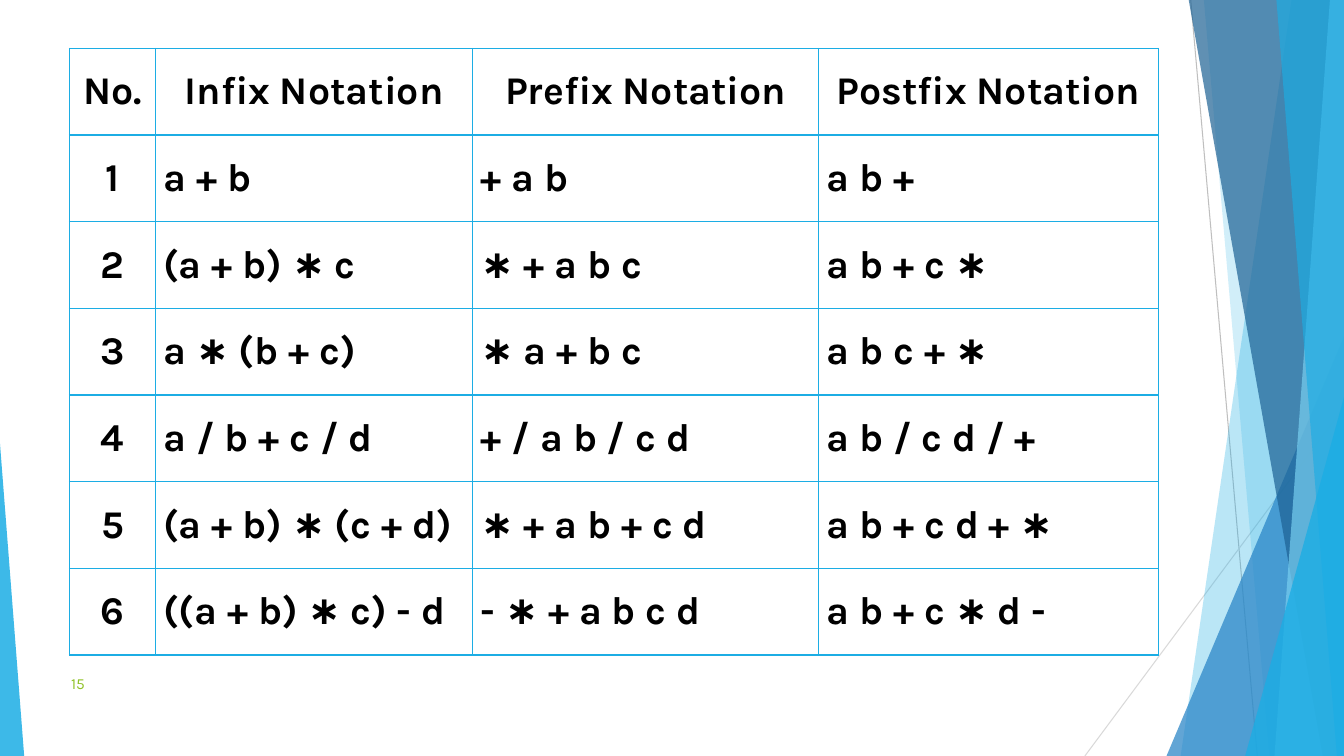
"""Build the slide that compares infix, prefix and postfix notation."""
from dataclasses import dataclass

from lxml import etree
from pptx import Presentation
from pptx import util as u
from pptx.dml import color
from pptx.enum import shapes, text
from pptx.oxml import ns

PX = 9144
WIDTH, HEIGHT = 1333, 750
FONT = "Karla"
BLUE = "1CADE4"
ROW_HEIGHT = 86
COLUMN_WIDTHS = (85, 315, 343, 337)
NOTATIONS = (
    ("No.", "Infix Notation", "Prefix Notation", "Postfix Notation"),
    ("1", "a + b", "+ a b", "a b +"),
    ("2", "(a + b) ∗ c", "∗ + a b c", "a b + c ∗"),
    ("3", "a ∗ (b + c)", "∗ a + b c", "a b c + ∗"),
    ("4", "a / b + c / d", "+ / a b / c d", "a b / c d / +"),
    ("5", "(a + b) ∗ (c + d)", "∗ + a b + c d", "a b + c d + ∗"),
    ("6", "((a + b) ∗ c) - d", "- ∗ + a b c d", "a b + c ∗ d -"),
)


@dataclass(frozen=True)
class Ray:
    start: tuple[int, int]
    end: tuple[int, int]
    colour: str


@dataclass(frozen=True)
class Band:
    """A strip reaching the right edge, with a slanted left side."""
    top: int
    bottom: int
    colour: str
    opacity: int


@dataclass(frozen=True)
class Wedge:
    """A triangle standing on the bottom edge, its apex at a share of its width."""
    left: int
    top: int
    width: int
    apex: float
    colour: str
    opacity: int


RAYS = (
    Ray((1181, 0), (1247, HEIGHT), "BFBFBF"),
    Ray((WIDTH, 404), (1076, HEIGHT), "D9D9D9"),
)
FACETS = (
    Band(1281, 1171, BLUE, 30),
    Band(1194, 1259, BLUE, 20),
    Wedge(1157, 334, 176, 1, "2683C6", 72),
    Band(1179, 1312, "1D6294", 70),
    Band(1319, 1264, "77CEEF", 70),
    Band(1266, 1326, BLUE, 65),
    Wedge(1235, 394, 98, 1, BLUE, 80),
    Wedge(0, 440, 24, 0, BLUE, 85),
)


def px(length: int) -> u.Emu:
    return u.Emu(length * PX)


def rgb(colour: str) -> color.RGBColor:
    return color.RGBColor.from_string(colour)


def draw_ray(slide, ray: Ray) -> None:
    line = slide.shapes.add_connector(
        shapes.MSO_CONNECTOR.STRAIGHT, *map(px, ray.start + ray.end))
    line.line.color.rgb = rgb(ray.colour)
    line.line.width = u.Pt(0.75)
    etree.SubElement(line._element.spPr, ns.qn("a:effectLst"))


def draw_facet(slide, facet: Band | Wedge) -> None:
    if isinstance(facet, Band):
        outline = slide.shapes.build_freeform(facet.top, 0, scale=PX)
        outline.add_line_segments(
            [(WIDTH, 0), (WIDTH, HEIGHT), (facet.bottom, HEIGHT)])
        shape = outline.convert_to_shape()
    else:
        shape = slide.shapes.add_shape(
            shapes.MSO_SHAPE.ISOSCELES_TRIANGLE, px(facet.left), px(facet.top),
            px(facet.width), px(HEIGHT - facet.top))
        shape.adjustments[0] = facet.apex
    shape.shadow.inherit = False
    shape.line.fill.background()
    shape.fill.solid()
    shape.fill.fore_color.rgb = rgb(facet.colour)
    tint = shape._element.spPr.find(".//" + ns.qn("a:srgbClr"))
    etree.SubElement(tint, ns.qn("a:alpha"), val=str(facet.opacity * 1000))


def style_paragraph(paragraph, size: int, colour: str, bold: bool,
                    align: text.PP_ALIGN) -> None:
    paragraph.alignment = align
    paragraph.font.name = FONT
    paragraph.font.size = u.Pt(size)
    paragraph.font.bold = bold
    paragraph.font.color.rgb = rgb(colour)


def border_cell(cell) -> None:
    properties = cell._tc.get_or_add_tcPr()
    for position, side in enumerate(("lnL", "lnR", "lnT", "lnB")):
        border = etree.Element(ns.qn(f"a:{side}"), w=str(u.Pt(1)))
        fill = etree.SubElement(border, ns.qn("a:solidFill"))
        etree.SubElement(fill, ns.qn("a:srgbClr"), val=BLUE)
        properties.insert(position, border)


def draw_notations(slide) -> None:
    table = slide.shapes.add_table(
        len(NOTATIONS), len(COLUMN_WIDTHS), px(69), px(48),
        px(sum(COLUMN_WIDTHS)), px(ROW_HEIGHT * len(NOTATIONS))).table
    table.first_row = table.horz_banding = False
    for column, width in zip(table.columns, COLUMN_WIDTHS):
        column.width = px(width)
    for row_index, (row, notations) in enumerate(zip(table.rows, NOTATIONS)):
        row.height = px(ROW_HEIGHT)
        for column_index, (cell, notation) in enumerate(zip(row.cells, notations)):
            cell.text = notation
            cell.vertical_anchor = text.MSO_ANCHOR.MIDDLE
            cell.margin_left = cell.margin_right = px(8)
            cell.margin_top = cell.margin_bottom = px(8)
            cell.fill.background()
            border_cell(cell)
            centred = row_index == 0 or column_index == 0
            align = text.PP_ALIGN.CENTER if centred else text.PP_ALIGN.LEFT
            style_paragraph(cell.text_frame.paragraphs[0], 28, "000000", True, align)


def draw_page_number(slide) -> None:
    frame = slide.shapes.add_textbox(px(30), px(654), px(64), px(47)).text_frame
    frame.word_wrap = True
    frame.vertical_anchor = text.MSO_ANCHOR.MIDDLE
    frame.text = "15"
    style_paragraph(frame.paragraphs[0], 11, "90C226", False, text.PP_ALIGN.RIGHT)


def main() -> None:
    deck = Presentation()
    deck.slide_width, deck.slide_height = px(WIDTH), px(HEIGHT)
    slide = deck.slides.add_slide(deck.slide_layouts[6])
    for ray in RAYS:
        draw_ray(slide, ray)
    for facet in FACETS:
        draw_facet(slide, facet)
    draw_notations(slide)
    draw_page_number(slide)
    deck.save("out.pptx")


if __name__ == "__main__":
    main()
